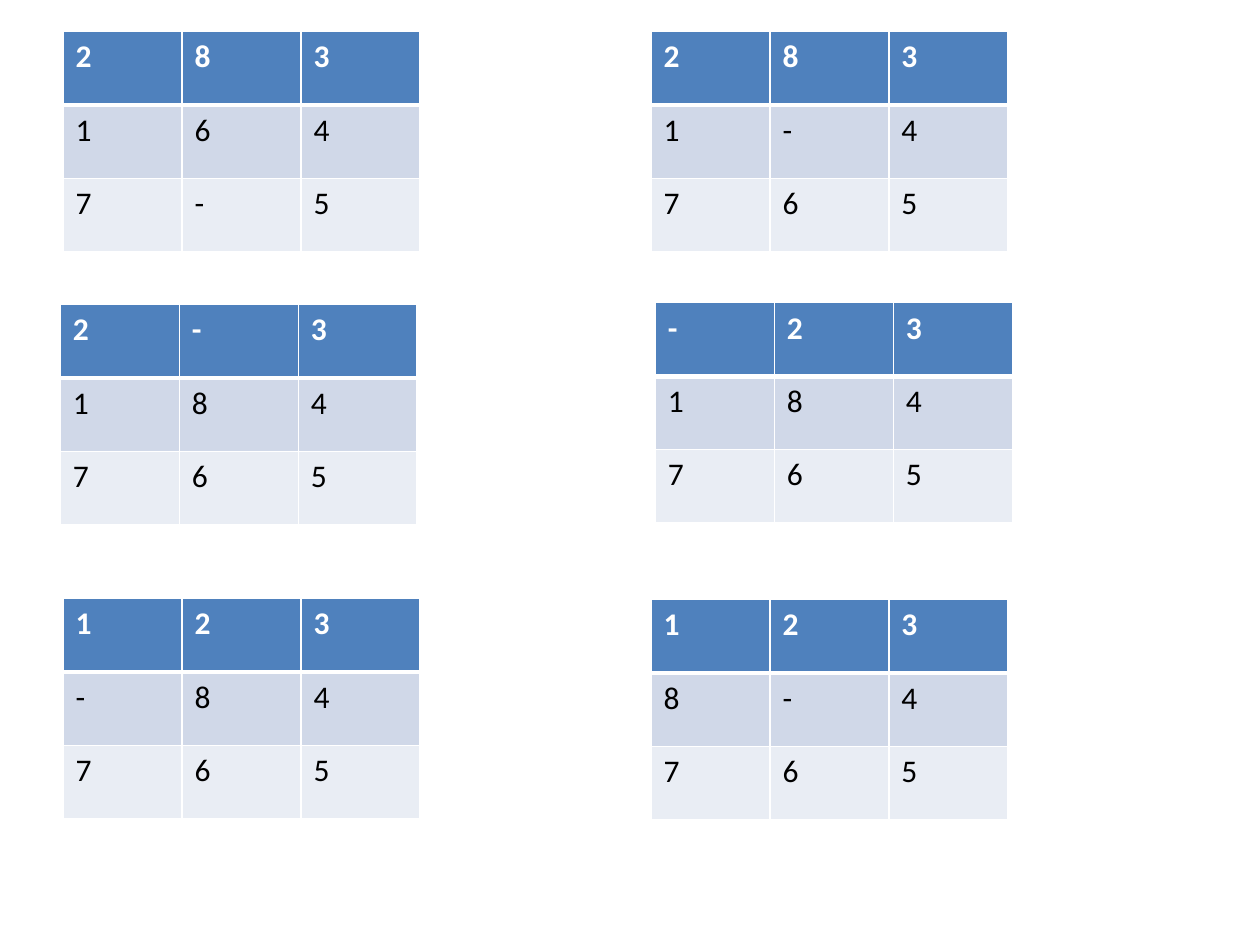
"""Build a slide of six 8-puzzle boards, from the start state to the goal."""
from lxml.etree import SubElement
from pptx import Presentation
from pptx.dml.color import RGBColor
from pptx.oxml.ns import qn
from pptx.util import Pt


def paint(fill_or_font, colour):
    if hasattr(fill_or_font, "solid"):
        fill_or_font.solid()
        fill_or_font.fore_color.rgb = RGBColor.from_string(colour)
    else:
        fill_or_font.color.rgb = RGBColor.from_string(colour)


def write(frame, text, size=18, font="Calibri", colour="000000", bold=False):
    run = frame.paragraphs[0].add_run()
    run.text = text
    run.font.size = Pt(size)
    run.font.name = font
    run.font.bold = bold
    paint(run.font, colour)


WHITE = "FFFFFF"
ROW_FILLS = ["4F81BD", "D0D8E8", "E9EDF4"]
TILE_WIDTH, TILE_HEIGHT = 68, 42
HEADER_RULE, THIN_RULE = 3, 1

boards = [
    (36, 18, ["283", "164", "7-5"]),
    (372, 18, ["283", "1-4", "765"]),
    (34.5, 174, ["2-3", "184", "765"]),
    (374.5, 173, ["-23", "184", "765"]),
    (36, 342, ["123", "-84", "765"]),
    (372, 342.5, ["123", "8-4", "765"]),
]

presentation = Presentation()
presentation.slide_width, presentation.slide_height = Pt(720), Pt(540)
slide = presentation.slides.add_slide(presentation.slide_layouts[6])

for left, top, state in boards:
    board = slide.shapes.add_table(
        3, 3, Pt(left), Pt(top), Pt(3 * TILE_WIDTH), Pt(3 * TILE_HEIGHT)
    ).table
    for column in board.columns:
        column.width = Pt(TILE_WIDTH)
    for row_index, numbers in enumerate(state):
        board.rows[row_index].height = Pt(TILE_HEIGHT)
        is_header = row_index == 0
        rules = {
            "a:lnL": THIN_RULE,
            "a:lnR": THIN_RULE,
            "a:lnT": HEADER_RULE if row_index == 1 else THIN_RULE,
            "a:lnB": HEADER_RULE if is_header else THIN_RULE,
        }
        for column_index, number in enumerate(numbers):
            tile = board.cell(row_index, column_index)
            properties = tile._tc.get_or_add_tcPr()
            for side, width in rules.items():
                rule = SubElement(properties, qn(side), w=str(Pt(width)))
                rule_fill = SubElement(rule, qn("a:solidFill"))
                SubElement(rule_fill, qn("a:srgbClr"), val=WHITE)
            paint(tile.fill, ROW_FILLS[row_index])
            write(tile.text_frame, number, bold=is_header,
                  colour=WHITE if is_header else "000000")

presentation.save("out.pptx")
